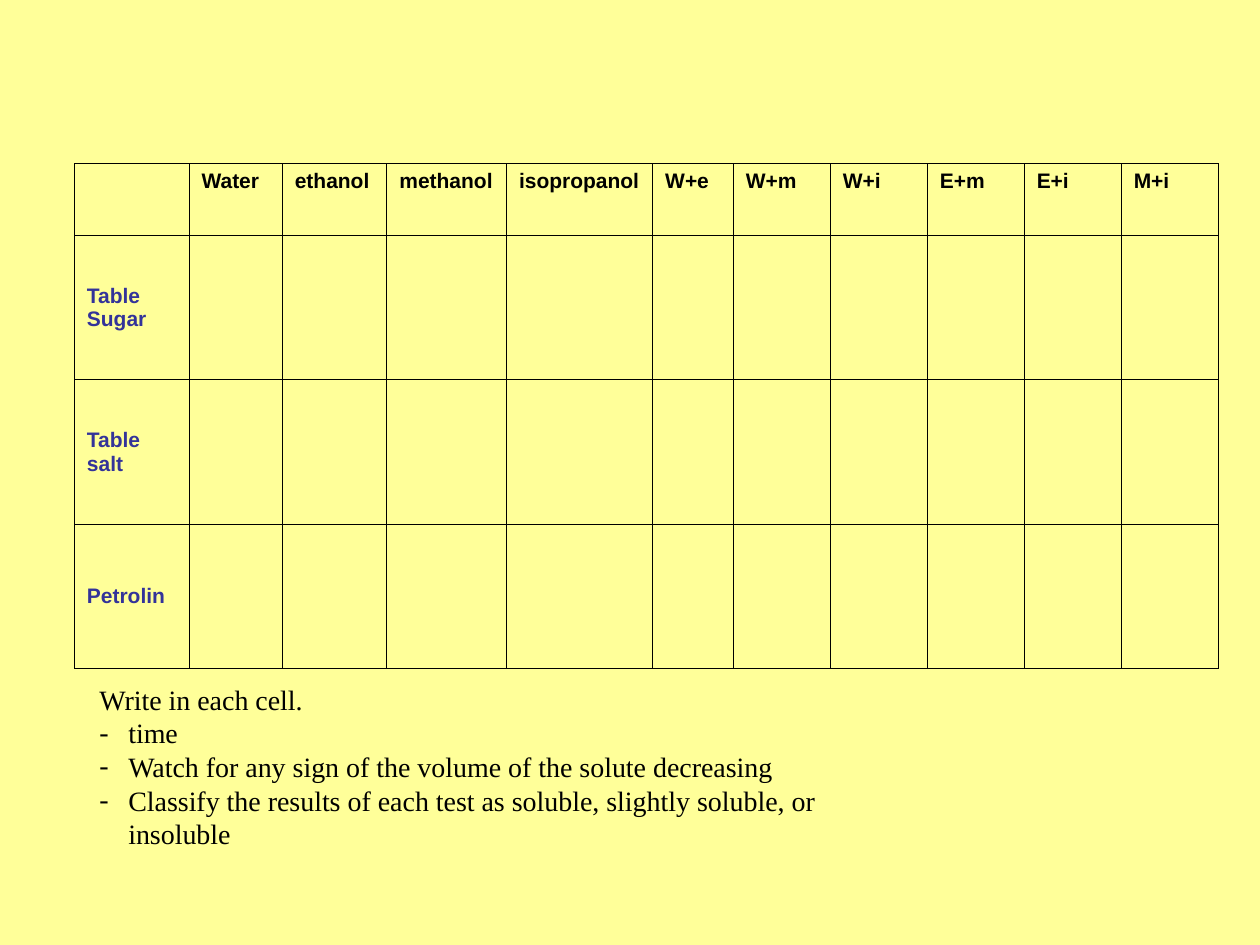
import pptx
import pptx.util
import pptx.dml.color
import pptx.enum.text
import pptx.oxml.ns
import lxml.etree

HEADS = ["", "Water", "ethanol", "methanol", "isopropanol", "W+e",
         "W+m", "W+i", "E+m", "E+i", "M+i"]
SOLUTES = [["Table", "Sugar"], ["Table salt"], ["Petrolin"]]
LEAD = "Write in each cell."
TASKS = [
    "time",
    "Watch for any sign of the volume of the solute decreasing",
    "Classify the results of each test as soluble, slightly soluble, or insoluble",
]
THEME = {
    "back": "FFFF99", "ink": "000000", "side": "333399", "rule": 0.45,
    "cell": {"face": "Arial", "size": 12, "bold": True},
    "note": {"face": "Times New Roman", "size": 16},
}
WIDE, HIGH = 10, 7.5


def share(left, top, width, height):
    return (left * WIDE / 100, top * HIGH / 100,
            width * WIDE / 100, height * HIGH / 100)


GRID = share(5.9, 17.3, 90.8, 53.45)
NOTE = share(6.9, 73.3, 65.9, 15.6)
HANG = 0.23
FIRST = [0.91, 0.74, 0.83, 0.95, 1.16, 0.64]
MIXES = len(HEADS) - len(FIRST)
COLS = FIRST + [(GRID[2] - sum(FIRST)) / MIXES] * MIXES
TOP = 0.57
ROWS = [TOP] + [(GRID[3] - TOP) / len(SOLUTES)] * len(SOLUTES)

inch = pptx.util.Inches
middle = pptx.enum.text.MSO_ANCHOR.MIDDLE


def tint(code):
    return pptx.dml.color.RGBColor.from_string(code)


def add(node, tag, **attrs):
    return lxml.etree.SubElement(node, pptx.oxml.ns.qn(tag), attrs)


def write(frame, lines, face, size, color, bold=False, marks=()):
    for num, line in enumerate(lines):
        para = frame.paragraphs[0] if num == 0 else frame.add_paragraph()
        if num in marks:
            props = para._p.get_or_add_pPr()
            props.set("marL", str(inch(HANG)))
            props.set("indent", str(-inch(HANG)))
            add(props, "a:buFont", typeface=face)
            add(props, "a:buChar", char="-")
        run = para.add_run()
        run.text = line
        run.font.name, run.font.size = face, pptx.util.Pt(size)
        run.font.bold, run.font.color.rgb = bold, tint(color)


def border(cell):
    props = cell._tc.get_or_add_tcPr()
    width = str(pptx.util.Pt(THEME["rule"]))
    for side in ("a:lnL", "a:lnR", "a:lnT", "a:lnB"):
        fill = add(add(props, side, w=width), "a:solidFill")
        add(fill, "a:srgbClr", val=THEME["ink"])


def grid(slide):
    frame = slide.shapes.add_table(len(ROWS), len(COLS), *map(inch, GRID))
    table = frame.table
    table.first_row = table.horz_banding = False
    for col, width in zip(table.columns, COLS):
        col.width = inch(width)
    for row, height in zip(table.rows, ROWS):
        row.height = inch(height)
    for cell in table.iter_cells():
        border(cell)
        cell.fill.background()
    for col, head in enumerate(HEADS):
        if head:
            write(table.cell(0, col).text_frame, [head],
                  color=THEME["ink"], **THEME["cell"])
    for row, lines in enumerate(SOLUTES, 1):
        cell = table.cell(row, 0)
        cell.vertical_anchor = middle
        write(cell.text_frame, lines, color=THEME["side"], **THEME["cell"])


def note(slide):
    frame = slide.shapes.add_textbox(*map(inch, NOTE)).text_frame
    frame.word_wrap, frame.vertical_anchor = True, middle
    write(frame, [LEAD] + TASKS, color=THEME["ink"],
          marks=range(1, len(TASKS) + 1), **THEME["note"])


def main():
    deck = pptx.Presentation()
    deck.slide_width, deck.slide_height = inch(WIDE), inch(HIGH)
    slide = deck.slides.add_slide(deck.slide_layouts[6])
    fill = slide.background.fill
    fill.solid()
    fill.fore_color.rgb = tint(THEME["back"])
    grid(slide)
    note(slide)
    deck.save("out.pptx")


if __name__ == "__main__":
    main()
